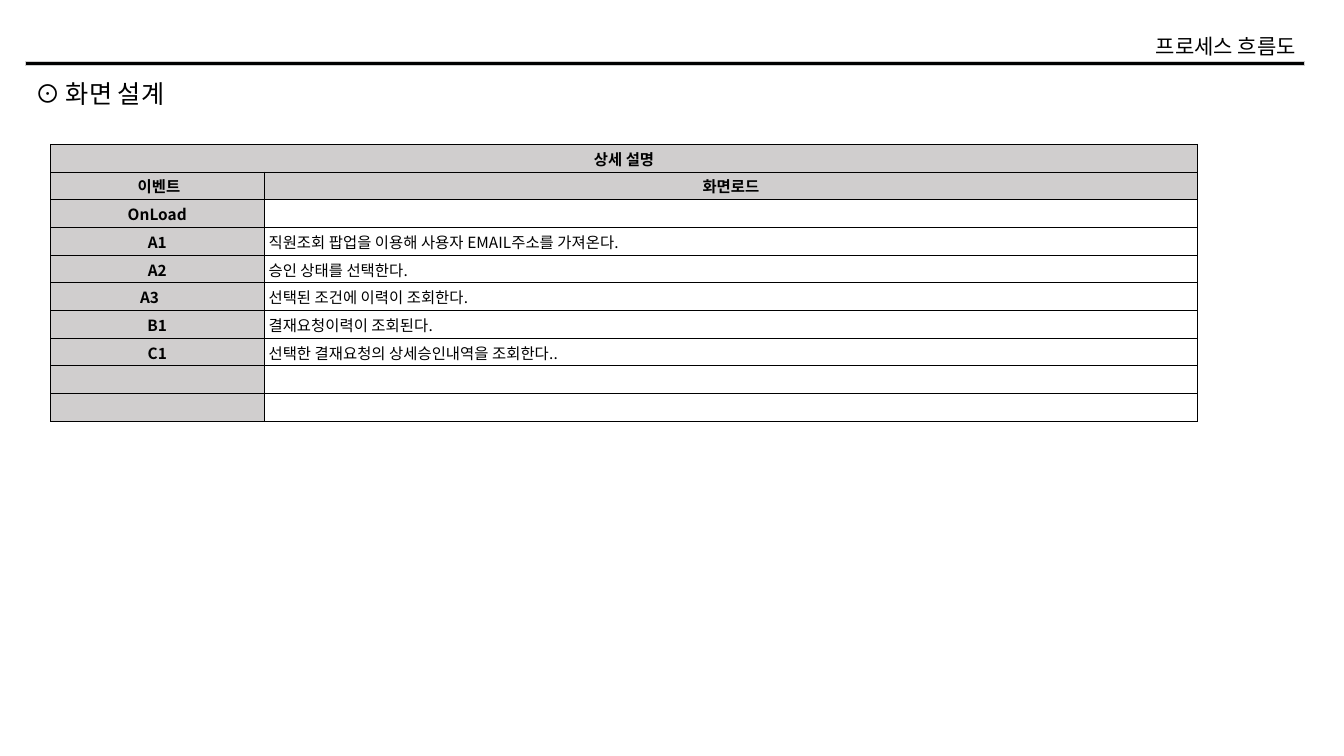
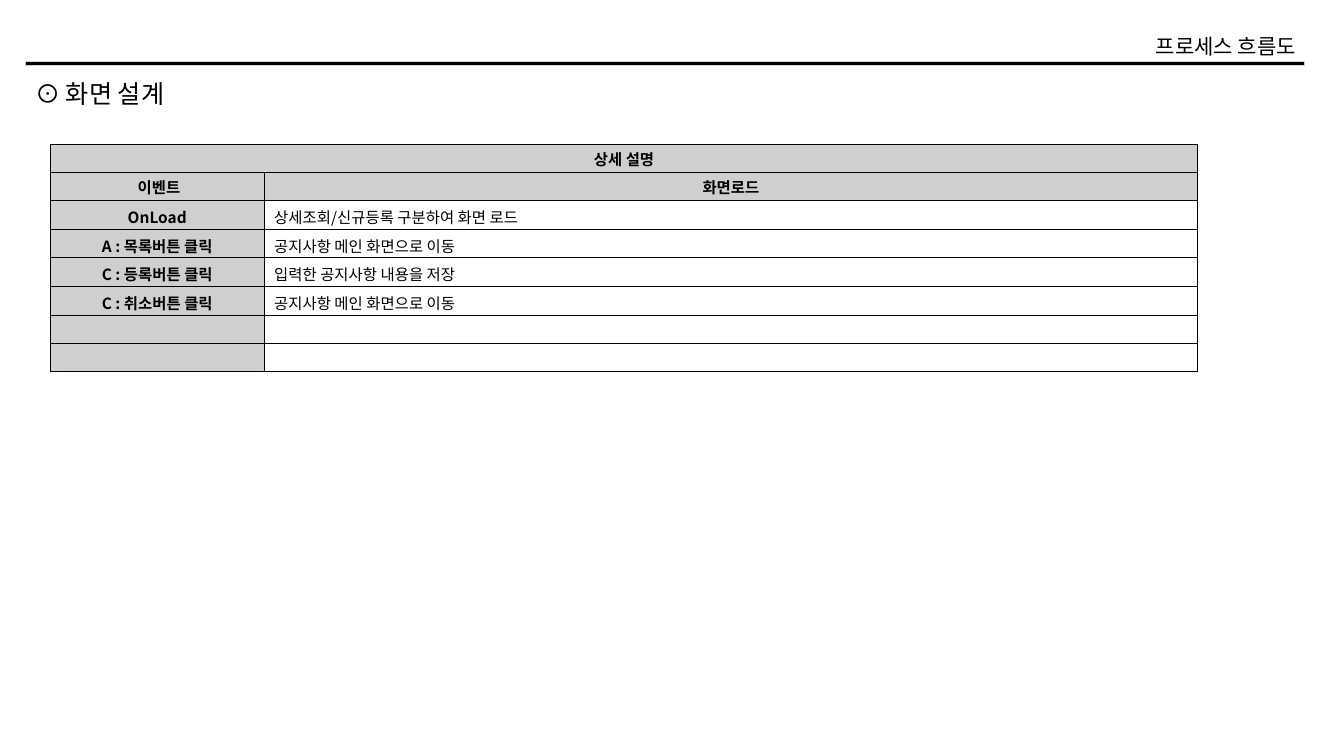
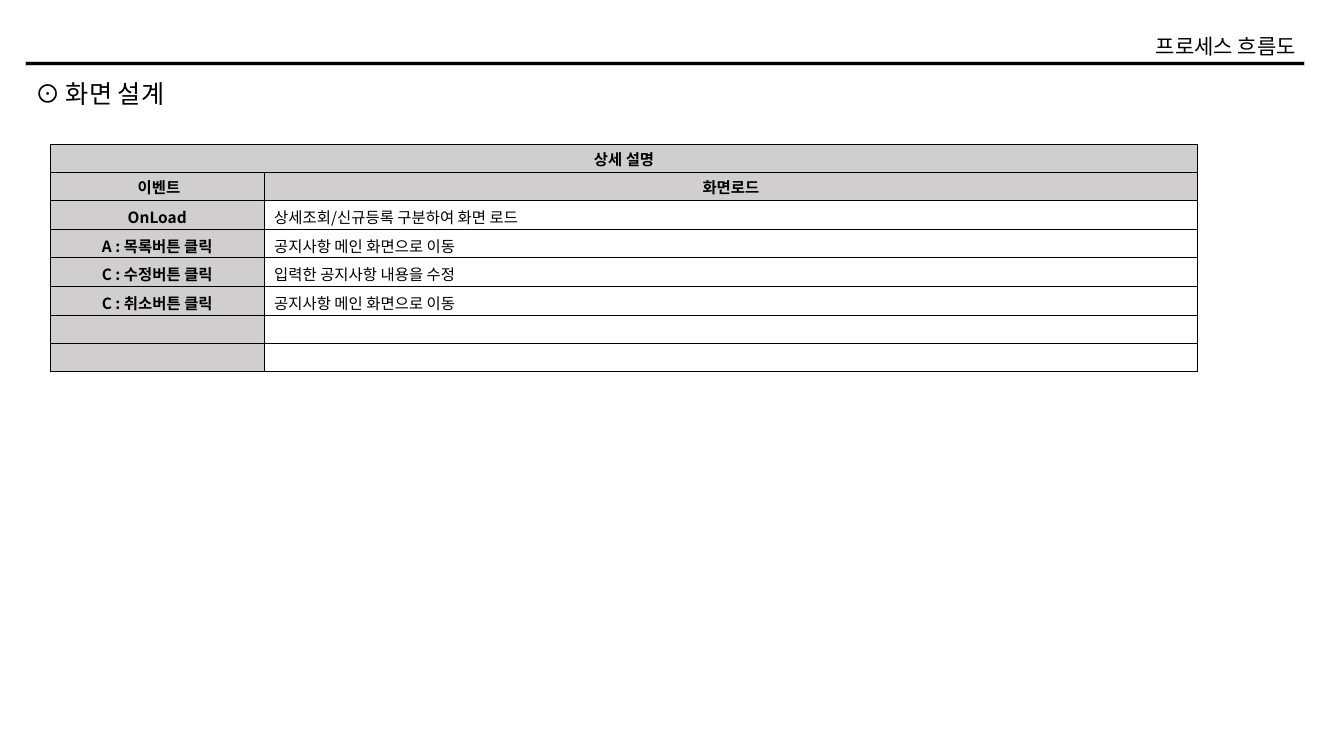
from lxml.etree import SubElement
from pptx import Presentation
from pptx.dml.color import RGBColor
from pptx.enum.shapes import MSO_SHAPE as Preset
from pptx.enum.text import MSO_ANCHOR as Anchor, MSO_AUTO_SIZE as AutoSize, PP_ALIGN as Align
from pptx.oxml.ns import qn
from pptx.util import Inches, Pt

# Content
SECTION = "프로세스 흐름도"
TITLE = "⊙ 화면 설계"
HEADING = "상세 설명"
COLUMN_NAMES = (" 이벤트", "화면로드")
EMPTY_ROWS = [("", ""), ("", "")]


def notice_rows(button, result):
    return [
        ("OnLoad", "상세조회/신규등록 구분하여 화면 로드"),
        ("A : 목록버튼 클릭", "공지사항 메인 화면으로 이동"),
        (f"C : {button}버튼 클릭", f"입력한 공지사항 내용을 {result}"),
        ("C : 취소버튼 클릭", "공지사항 메인 화면으로 이동"),
    ]


APPROVAL_ROWS = [
    ("OnLoad", ""),
    ("A1", " 직원조회 팝업을 이용해 사용자 EMAIL주소를 가져온다."),
    ("A2", " 승인 상태를 선택한다."),
    ("A3\u3000", " 선택된 조건에 이력이 조회한다."),
    ("B1", " 결재요청이력이 조회된다."),
    ("C1", " 선택한 결재요청의 상세승인내역을 조회한다.."),
]

# Event rows, table height, whether the event rows use tight cell margins
SCREENS = [
    (APPROVAL_ROWS, 2.75, True),
    (notice_rows("등록", "저장"), 2.24, False),
    (notice_rows("수정", "수정"), 2.24, False),
]

# Shared style
BLACK = RGBColor(0x00, 0x00, 0x00)
WHITE = RGBColor(0xFF, 0xFF, 0xFF)
GRAY = RGBColor(0xD0, 0xCE, 0xCE)
FONT = "Noto Sans CJK KR"
TABLE_SIZE = 11
TABLE_LEFT, TABLE_TOP = 0.5, 1.43
COLUMN_WIDTHS = (2.12, 9.26)


def add_text(paragraph, text, size, bold=False, align=Align.LEFT):
    paragraph.alignment = align
    run = paragraph.add_run()
    run.text = text
    run.font.name = FONT
    run.font.size = Pt(size)
    run.font.bold = bold
    run.font.color.rgb = BLACK
    SubElement(run.font._element, qn("a:ea"), typeface=FONT)


def add_label(slide, text, left, top, width, height, size, align):
    box = slide.shapes.add_textbox(*map(Inches, (left, top, width, height)))
    box.text_frame.word_wrap = False
    box.text_frame.auto_size = AutoSize.SHAPE_TO_FIT_TEXT
    add_text(box.text_frame.paragraphs[0], text, size, align=align)


def add_frame(slide):
    """Header rule, section name and slide title."""
    rule = slide.shapes.add_shape(
        Preset.RECTANGLE, Inches(0.25), Inches(0.61), Inches(12.69), Inches(0.04))
    rule.shadow.inherit = False
    rule.fill.solid()
    rule.fill.fore_color.rgb = BLACK
    rule.line.color.rgb = GRAY
    rule.line.width = Pt(0.3)
    add_label(slide, SECTION, 11.2, 0.28, 1.75, 0.35, 15, Align.RIGHT)
    add_label(slide, TITLE, 0.25, 0.73, 1.63, 0.4, 18, Align.LEFT)


def add_borders(cell):
    properties = cell._tc.get_or_add_tcPr()
    for side in ("a:lnL", "a:lnR", "a:lnT", "a:lnB"):
        line = SubElement(properties, qn(side), w=str(Pt(0.5)))
        fill = SubElement(line, qn("a:solidFill"))
        SubElement(fill, qn("a:srgbClr"), val=str(BLACK))


def fill_cell(cell, text, is_label, tight):
    add_borders(cell)
    cell.fill.solid()
    cell.fill.fore_color.rgb = GRAY if is_label else WHITE
    if tight:
        cell.vertical_anchor = Anchor.MIDDLE
        cell.margin_left = cell.margin_top = cell.margin_right = Inches(0.01)
        cell.margin_bottom = 0
    paragraph = cell.text_frame.paragraphs[0]
    if text:
        add_text(paragraph, text, TABLE_SIZE, is_label,
                 Align.CENTER if is_label else Align.LEFT)
    else:
        SubElement(paragraph._p, qn("a:endParaRPr"), sz=str(TABLE_SIZE * 100))


def add_event_table(slide, events, height, tight_events):
    rows = [(HEADING, ""), COLUMN_NAMES] + events + EMPTY_ROWS
    table = slide.shapes.add_table(
        len(rows), len(COLUMN_WIDTHS), Inches(TABLE_LEFT), Inches(TABLE_TOP),
        Inches(sum(COLUMN_WIDTHS)), Inches(height)).table
    table.first_row = table.horz_banding = False
    for column, width in zip(table.columns, COLUMN_WIDTHS):
        column.width = Inches(width)
    for row_index, texts in enumerate(rows):
        table.rows[row_index].height = Inches(height / len(rows))
        is_header = row_index < 2
        is_event = 2 <= row_index < 2 + len(events)
        for column_index, text in enumerate(texts):
            fill_cell(table.cell(row_index, column_index), text,
                      is_header or column_index == 0, tight_events or not is_event)
    table.cell(0, 0).merge(table.cell(0, 1))


# Build the slides
presentation = Presentation()
presentation.slide_width = Inches(13.33)
presentation.slide_height = Inches(7.5)
for events, height, tight_events in SCREENS:
    slide = presentation.slides.add_slide(presentation.slide_layouts[6])
    add_frame(slide)
    add_event_table(slide, events, height, tight_events)
presentation.save("out.pptx")
